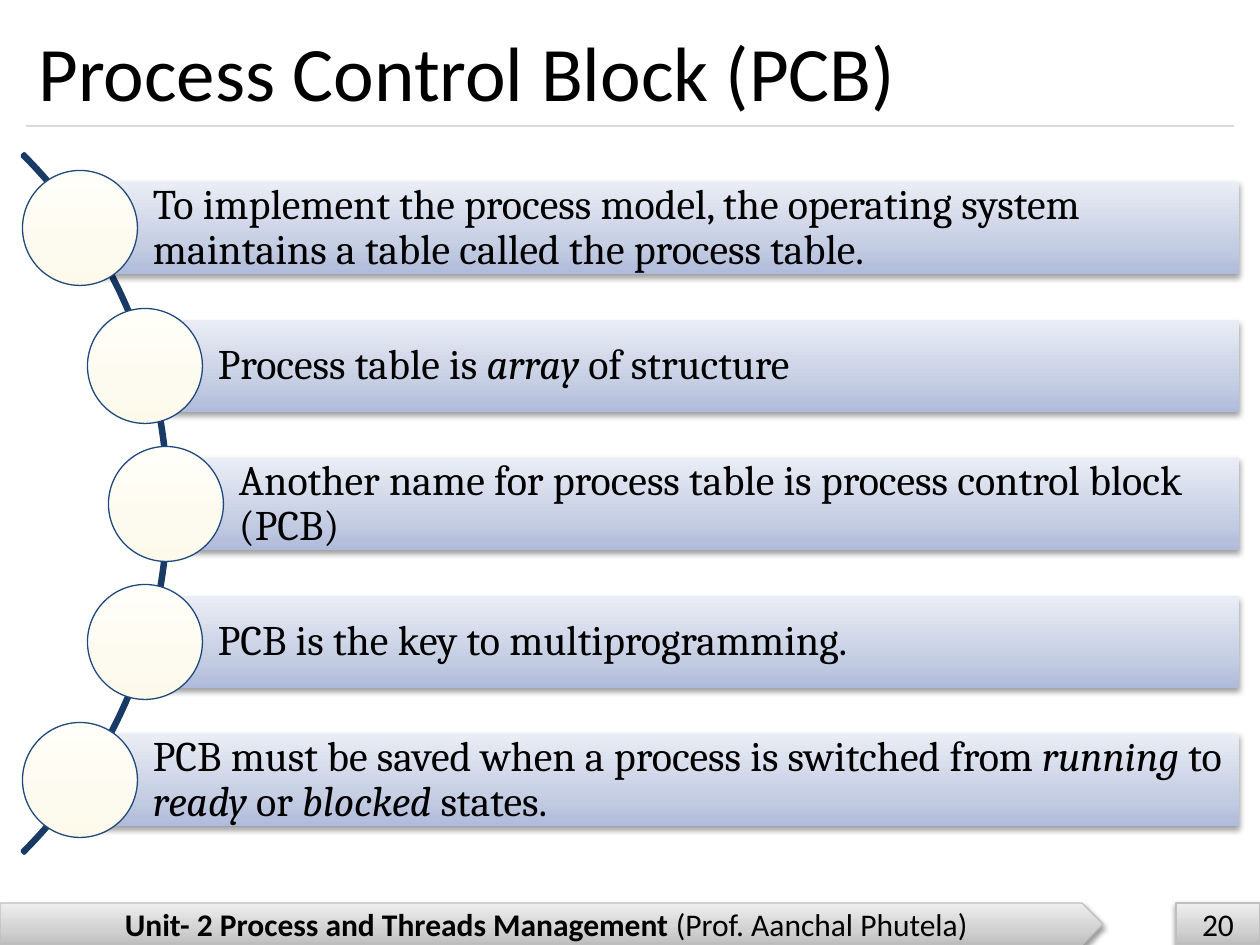
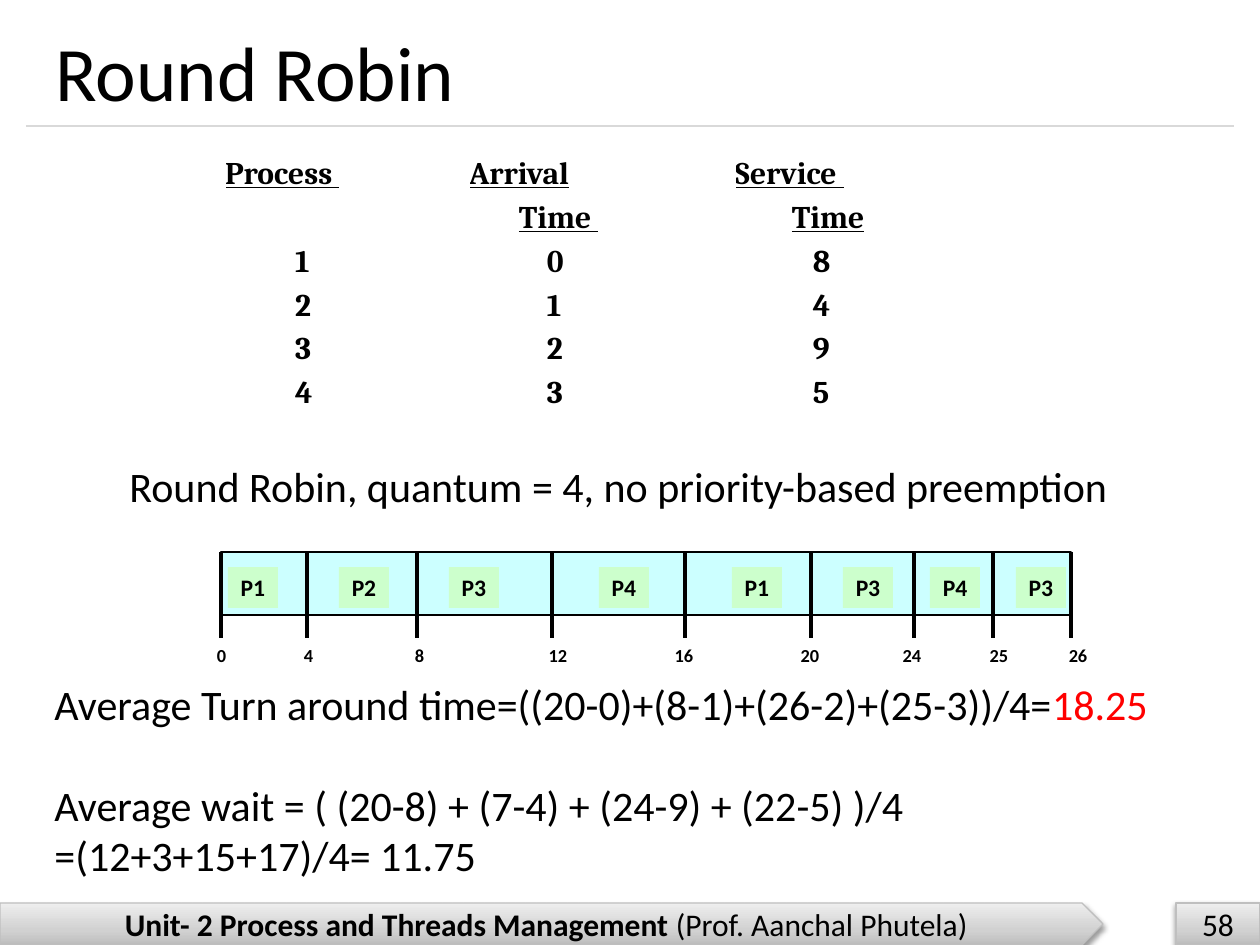
from lxml import etree
from pptx import Presentation
from pptx import util as u
from pptx.dml.color import RGBColor
from pptx.enum import shapes, text
from pptx.oxml import parse_xml
from pptx.oxml.ns import nsdecls, qn

SCALE = 914400 / 126
BLACK = RGBColor(0x00, 0x00, 0x00)
RED = RGBColor(0xFF, 0x00, 0x00)
RULE_GREY = RGBColor(0xD9, 0xD9, 0xD9)
BAND_EDGE = RGBColor(0xBF, 0xBF, 0xBF)
ARC_NAVY = RGBColor(0x19, 0x3A, 0x64)
CIRCLE_EDGE = RGBColor(0x1F, 0x49, 0x7D)
TIMELINE_CYAN = RGBColor(0xCC, 0xFF, 0xFF)
PROCESS_GREEN = RGBColor(0xCC, 0xFF, 0xCC)

# Gradients run from bottom to top, with stops at 0, 35 and 100 %.
BAND_GREYS = [RGBColor.from_string(c) for c in ("BDBDBD", "D1D1D1", "EEEEEE")]
BAR_BLUES = [RGBColor.from_string(c) for c in ("AFBBDA", "C7CFE4", "EAEDF5")]
CIRCLE_CREAMS = [RGBColor.from_string(c) for c in ("FDFAEB", "FDFBF0", "FFFEF9")]

HEADING_FONT = "Calibri"
BODY_FONT = "Cambria"
CENTER = text.PP_ALIGN.CENTER
MIDDLE = text.MSO_ANCHOR.MIDDLE
ITALIC = {"italic": True}

PCB_POINTS = [
    (80, [("To implement the process model, the operating system maintains "
           "a table called the process table.", {})]),
    (145, [("Process table is ", {}), ("array", ITALIC), (" of structure", {})]),
    (166, [("Another name for process table is process control block (PCB)", {})]),
    (145, [("PCB is the key to multiprogramming.", {})]),
    (80, [("PCB must be saved when a process is switched from ", {}),
          ("running", ITALIC), (" to ", {}), ("ready", ITALIC), (" or ", {}),
          ("blocked ", ITALIC), ("states.", {})]),
]

# Each row: the cell texts and the indent of each cell.
PROCESS_ROWS = [
    (("Process ", "Arrival", "Service "), (0, 0, 0)),
    (("", "Time ", "Time"), (0, 50, 57)),
    (("1", "0", "8"), (70, 78, 78)),
    (("2", "1", "4"), (70, 78, 78)),
    (("3", "2", "9"), (70, 78, 78)),
    (("4", "3", "5"), (70, 78, 78)),
]

# Time, place of the tick, left edge of its label.
TICKS = [("0", 221, 204), ("4", 307, 291), ("8", 417, 402), ("12", 552, 536),
         ("16", 685, 662), ("20", 811, 788), ("24", 914, 890),
         ("25", 993, 977), ("26", 1071, 1056)]
TURNS = [("P1", 228), ("P2", 339), ("P3", 449), ("P4", 599),
         ("P1", 732), ("P3", 843), ("P4", 930), ("P3", 1016)]


def px(length):
    return u.Emu(round(length * SCALE))


def write(paragraph, spans, size, font=HEADING_FONT, align=None):
    """Fill a paragraph with (words, font attributes) spans."""
    paragraph.alignment = align
    for words, style in spans:
        span = paragraph.add_run()
        span.text = words
        span.font.name = font
        span.font.size = u.Pt(size)
        span.font.color.rgb = style.get("color", BLACK)
        span.font.bold = style.get("bold")
        span.font.italic = style.get("italic")


def add_textbox(page, left, top, width, height, wrap=True, anchor=None):
    box = page.shapes.add_textbox(px(left), px(top), px(width), px(height))
    box.text_frame.word_wrap = wrap
    box.text_frame.vertical_anchor = anchor
    return box


def add_figure(page, kind, left, top, width, height, edge=None, weight=0.75):
    """Add a preset shape without shadow or fill, outlined if edge is given."""
    figure = page.shapes.add_shape(kind, px(left), px(top), px(width), px(height))
    figure.shadow.inherit = False
    figure.fill.background()
    if edge is None:
        figure.line.fill.background()
    else:
        figure.line.color.rgb = edge
        figure.line.width = u.Pt(weight)
    figure.text_frame.vertical_anchor = MIDDLE
    return figure


def shade(figure, colors):
    """Replace the fill by a vertical three-stop gradient."""
    stops = "".join(
        f'<a:gs pos="{place}"><a:srgbClr val="{color}"/></a:gs>'
        for place, color in zip((0, 35000, 100000), colors))
    gradient = parse_xml(
        f'<a:gradFill {nsdecls("a")} rotWithShape="1"><a:gsLst>{stops}</a:gsLst>'
        '<a:lin ang="16200000" scaled="0"/></a:gradFill>')
    properties = figure.element.spPr
    properties.replace(properties.find(qn("a:noFill")), gradient)


def drop_shadow(figure):
    effects = figure.element.spPr.find(qn("a:effectLst"))
    effects.append(parse_xml(
        f'<a:outerShdw {nsdecls("a")} blurRad="40000" dist="20000" dir="5400000" '
        'rotWithShape="0"><a:srgbClr val="000000"><a:alpha val="38000"/>'
        '</a:srgbClr></a:outerShdw>'))


def add_line(page, start, end, color, weight):
    line = page.shapes.add_connector(
        shapes.MSO_CONNECTOR.STRAIGHT, *map(px, start), *map(px, end))
    line.line.color.rgb = color
    line.line.width = u.Pt(weight)
    etree.SubElement(line.element.spPr, qn("a:effectLst"))


def add_footer_band(page, kind, left, width, spans):
    band = add_figure(page, kind, left, 903, width, 42, BAND_EDGE)
    shade(band, BAND_GREYS)
    drop_shadow(band)
    write(band.text_frame.paragraphs[0], spans, 18, align=CENTER)


def add_page(deck, title, title_left, number):
    """Add a slide with its title, rule and footer."""
    page = deck.slides.add_slide(deck.slide_layouts[6])
    add_footer_band(page, shapes.MSO_SHAPE.PENTAGON, 0, 1103, [
        ("Unit- 2 Process and Threads Management ", {"bold": True}),
        ("(Prof. Aanchal Phutela)", {})])
    add_footer_band(page, shapes.MSO_SHAPE.RECTANGLE, 1176, 84, [(number, {})])
    add_line(page, (26, 126), (1234, 126), RULE_GREY, 0.75)
    box = add_textbox(page, title_left, 15, 1234 - title_left, 111, anchor=MIDDLE)
    write(box.text_frame.paragraphs[0], [(title, {})], 44)
    return page


def add_arc(page):
    arc = add_figure(page, shapes.MSO_SHAPE.BLOCK_ARC, -820, 9, 989, 989,
                     ARC_NAVY, 2)
    for index, value in enumerate((189, 27, 0.003)):
        arc.adjustments[index] = value


def add_point(page, center_x, center_y, spans):
    """Add a text bar that starts behind a circle."""
    bar_height, diameter = 92, 115
    bar = add_figure(page, shapes.MSO_SHAPE.RECTANGLE, center_x,
                     center_y - bar_height / 2, 1239 - center_x, bar_height)
    shade(bar, BAR_BLUES)
    drop_shadow(bar)
    frame = bar.text_frame
    frame.word_wrap = True
    frame.margin_left = px(73)
    frame.margin_right = frame.margin_top = frame.margin_bottom = px(9)
    frame.paragraphs[0].line_spacing = 0.9
    write(frame.paragraphs[0], spans, 24, BODY_FONT, text.PP_ALIGN.LEFT)
    circle = add_figure(page, shapes.MSO_SHAPE.OVAL, center_x - diameter / 2,
                        center_y - diameter / 2, diameter, diameter, CIRCLE_EDGE)
    shade(circle, CIRCLE_CREAMS)


def add_process_table(page):
    widths, row_height = (244, 266, 200), 44
    table = page.shapes.add_table(
        len(PROCESS_ROWS), len(widths), px(225), px(152),
        px(sum(widths)), px(row_height * len(PROCESS_ROWS))).table
    table.first_row = table.horz_banding = False
    for column, width in zip(table.columns, widths):
        column.width = px(width)
    for index, (words, indents) in enumerate(PROCESS_ROWS):
        table.rows[index].height = px(row_height)
        for cell, word, indent in zip(table.rows[index].cells, words, indents):
            cell.fill.background()
            cell.vertical_anchor = MIDDLE
            cell.margin_left = px(indent)
            cell.margin_right = cell.margin_top = cell.margin_bottom = 0
            if word:
                paragraph = cell.text_frame.paragraphs[0]
                write(paragraph, [(word, {"bold": True})], 18, BODY_FONT)
                paragraph.runs[0].font.underline = index < 2


def add_timeline(page):
    top, tick_end = 552, 638
    start, end = TICKS[0][1], TICKS[-1][1]
    strip = add_figure(page, shapes.MSO_SHAPE.RECTANGLE, start, top,
                       end - start, 63, BLACK)
    strip.fill.solid()
    strip.fill.fore_color.rgb = TIMELINE_CYAN
    for time, x, label_left in TICKS:
        add_line(page, (x, top), (x, tick_end), BLACK, 2.25)
        label = add_textbox(page, label_left, tick_end, 26 + 9 * len(time), 35,
                            wrap=False)
        write(label.text_frame.paragraphs[0], [(time, {"bold": True})], 10.5,
              align=CENTER)
    for process, left in TURNS:
        tile = add_figure(page, shapes.MSO_SHAPE.RECTANGLE, left, 567, 50, 41)
        tile.fill.solid()
        tile.fill.fore_color.rgb = PROCESS_GREEN
        tile.text_frame.margin_left = tile.text_frame.margin_right = 0
        write(tile.text_frame.paragraphs[0], [(process, {"bold": True})], 13.5,
              align=CENTER)


def add_averages(page):
    frame = add_textbox(page, 42, 672, 1176, 217).text_frame
    write(frame.paragraphs[0], [
        ("Average Turn around time=((20-0)+(8-1)+(26-2)+(25-3))/4=", {}),
        ("18.25", {"color": RED})], 24)
    wait = frame.add_paragraph()
    wait.space_before = u.Pt(29)
    write(wait, [("Average wait = ( (20-8) + (7-4) + (24-9) + (22-5) )/4", {})], 24)
    write(frame.add_paragraph(), [("=(12+3+15+17)/4= 11.75", {})], 24)


def build_pcb_page(deck):
    page = add_page(deck, "Process Control Block (PCB)", 26, "20")
    add_arc(page)
    for index, (center_x, spans) in enumerate(PCB_POINTS):
        add_point(page, center_x, 228 + 138 * index, spans)


def build_round_robin_page(deck):
    page = add_page(deck, "Round Robin", 43, "58")
    add_process_table(page)
    caption = add_textbox(page, 117, 454, 1014, 63, wrap=False)
    write(caption.text_frame.paragraphs[0],
          [("Round Robin, quantum = 4, no priority-based preemption", {})], 24)
    add_timeline(page)
    add_averages(page)


def main():
    deck = Presentation()
    deck.slide_width, deck.slide_height = px(1260), px(945)
    build_pcb_page(deck)
    build_round_robin_page(deck)
    deck.save("out.pptx")


if __name__ == "__main__":
    main()
